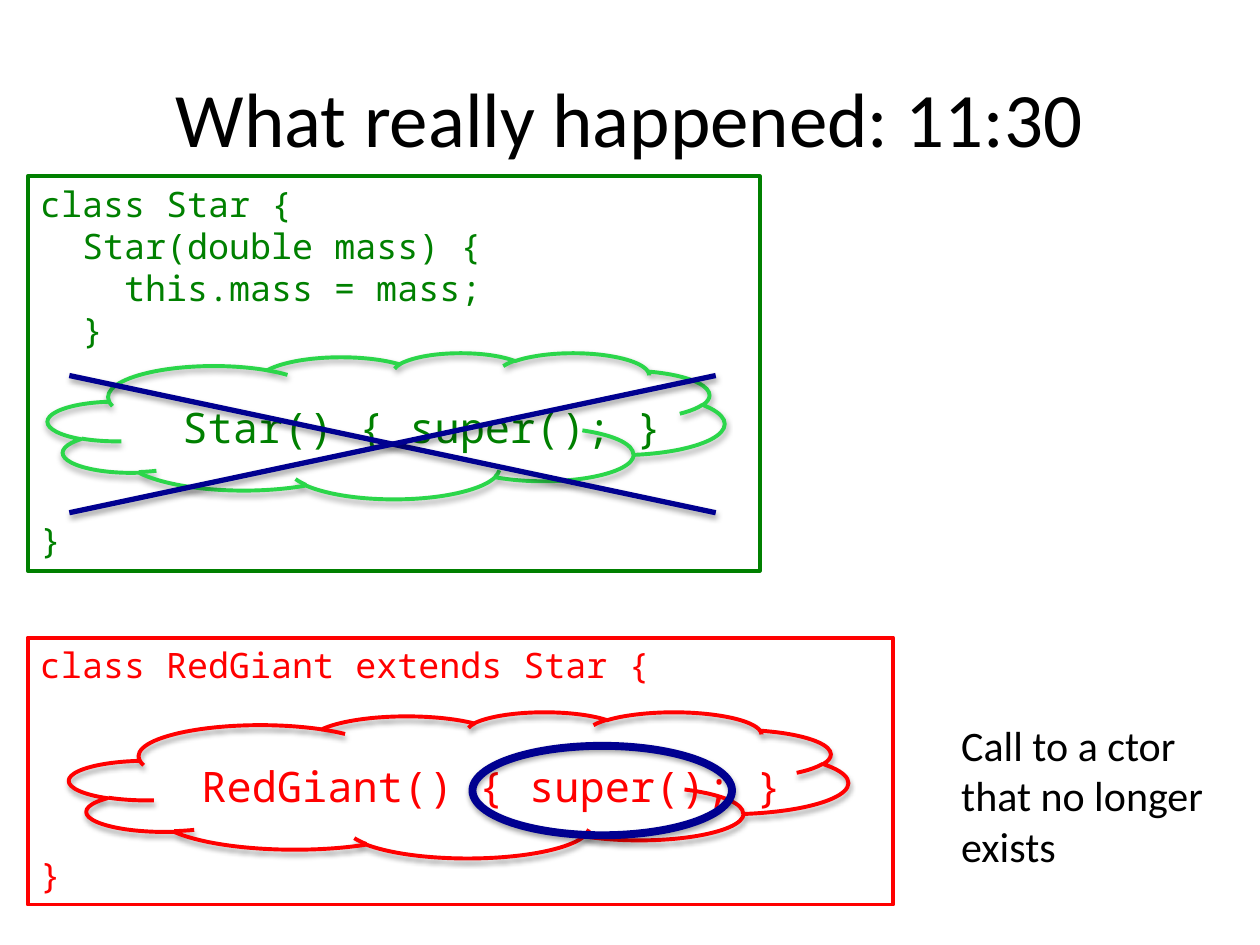
from lxml import etree
from pptx import Presentation
from pptx.dml.color import RGBColor
from pptx.enum import shapes, text
from pptx.oxml import ns
from pptx.util import Pt

THEME = {
    "ink": "000000", "star": "008000", "star_cloud": "2BD64A",
    "giant": "FF0000", "mark": "000090",
    "body": "Calibri", "code": "Noto Sans Mono",
    "title_size": 44, "call_size": 24, "code_size": 20,
    "outline": 2.25, "cross": 3, "ring": 4.5,
}
INDENT = 24      # two code characters
CALL_INDENT = 14.4  # one character of the larger code
CLOUD_GAP = 96   # four code lines left free for the cloud

TITLE = "What really happened: 11:30"
REMARK = "Call to a ctor that no longer exists"
# Boxes are left, top, width, height; code lines are (indent level, text).
CLASSES = [
    {"box": (15.8, 100.8, 418.3, 225.4), "color": "star",
     "code": [(0, "class Star {"), (1, "Star(double mass) {"),
              (2, "this.mass = mass;"), (1, "}"), (0, "}")],
     "cloud": (27.4, 201.6, 386.6, 83.5), "cloud_color": "star_cloud",
     "call": "Star() { super(); }", "call_box": (82.8, 226.1, 326.2, 36)},
    {"box": (15.8, 364.3, 494.6, 152.6), "color": "giant",
     "code": [(0, "class RedGiant extends Star {"), (0, "}")],
     "cloud": (39.6, 406.8, 445, 83.5), "cloud_color": "giant",
     "call": "RedGiant() { super(); }", "call_box": (93.6, 431.3, 363.6, 36)},
]
TITLE_BOX = (36, 21.6, 648, 90)
REMARK_BOX = (542.2, 407.5, 154.1, 94.3)
CROSS = (39.6, 214.6, 409, 293)  # left, top, right, bottom
RING = (270, 426.2, 148.3, 51.1)


def points(box):
    return [Pt(value) for value in box]


def color(name):
    return RGBColor.from_string(THEME[name])


def write(frame, lines, *, size, ink="ink", font="body", step=0,
          gap_before_last=0, align=text.PP_ALIGN.LEFT,
          anchor=text.MSO_ANCHOR.TOP):
    """Fill a frame with (level, text) lines, indented by step per level."""
    frame.word_wrap = True
    frame.vertical_anchor = anchor
    for number, (level, words) in enumerate(lines):
        para = frame.add_paragraph() if number else frame.paragraphs[0]
        para.alignment = align
        if level:
            para._p.get_or_add_pPr().set("marL", str(Pt(level * step)))
        run = para.add_run()
        run.text = words
        run.font.name = THEME[font]
        run.font.size = Pt(THEME[size])
        run.font.color.rgb = color(ink)
    if gap_before_last:
        para.space_before = Pt(gap_before_last)


def cast_shadow(item, distance=1.8, opacity=35):
    props = item._element.spPr
    for old in props.findall(ns.qn("a:effectLst")):
        props.remove(old)
    effects = etree.SubElement(props, ns.qn("a:effectLst"))
    shadow = etree.SubElement(
        effects, ns.qn("a:outerShdw"), blurRad=str(Pt(3.1)),
        dist=str(Pt(distance)), dir="5400000", rotWithShape="0")
    black = etree.SubElement(shadow, ns.qn("a:srgbClr"), val="000000")
    etree.SubElement(black, ns.qn("a:alpha"), val=str(opacity * 1000))


def outline(parent, kind, box, ink, width="outline", shadow=False):
    shape = parent.add_shape(kind, *points(box))
    shape.fill.background()
    shape.line.color.rgb = color(ink)
    shape.line.width = Pt(THEME[width])
    shape.shadow.inherit = False
    if shadow:
        cast_shadow(shape)
    return shape


def add_class(canvas, item):
    frame = outline(canvas, shapes.MSO_SHAPE.RECTANGLE,
                    item["box"], item["color"]).text_frame
    write(frame, item["code"], size="code_size", ink=item["color"],
          font="code", step=INDENT, gap_before_last=CLOUD_GAP)
    group = canvas.add_group_shape().shapes
    outline(group, shapes.MSO_SHAPE.CLOUD, item["cloud"],
            item["cloud_color"], shadow=True)
    call = group.add_textbox(*points(item["call_box"])).text_frame
    write(call, [(1, item["call"])], size="call_size", ink=item["color"],
          font="code", step=CALL_INDENT)


def add_cross(canvas):
    left, top, right, bottom = CROSS
    for start, end in ((left, right), (right, left)):
        stroke = canvas.add_connector(
            shapes.MSO_CONNECTOR.STRAIGHT, *points((start, top, end, bottom)))
        stroke.line.color.rgb = color("mark")
        stroke.line.width = Pt(THEME["cross"])
        cast_shadow(stroke, distance=1.6, opacity=38)


def main():
    deck = Presentation()
    deck.slide_width, deck.slide_height = Pt(720), Pt(540)
    canvas = deck.slides.add_slide(deck.slide_layouts[5]).shapes
    title = canvas.title
    title.left, title.top, title.width, title.height = points(TITLE_BOX)
    write(title.text_frame, [(0, TITLE)], size="title_size",
          align=text.PP_ALIGN.CENTER, anchor=text.MSO_ANCHOR.MIDDLE)
    for item in CLASSES:
        add_class(canvas, item)
    remark = canvas.add_textbox(*points(REMARK_BOX)).text_frame
    write(remark, [(0, REMARK)], size="call_size")
    add_cross(canvas)
    outline(canvas, shapes.MSO_SHAPE.OVAL, RING, "mark", "ring", shadow=True)
    deck.save("out.pptx")


if __name__ == "__main__":
    main()
